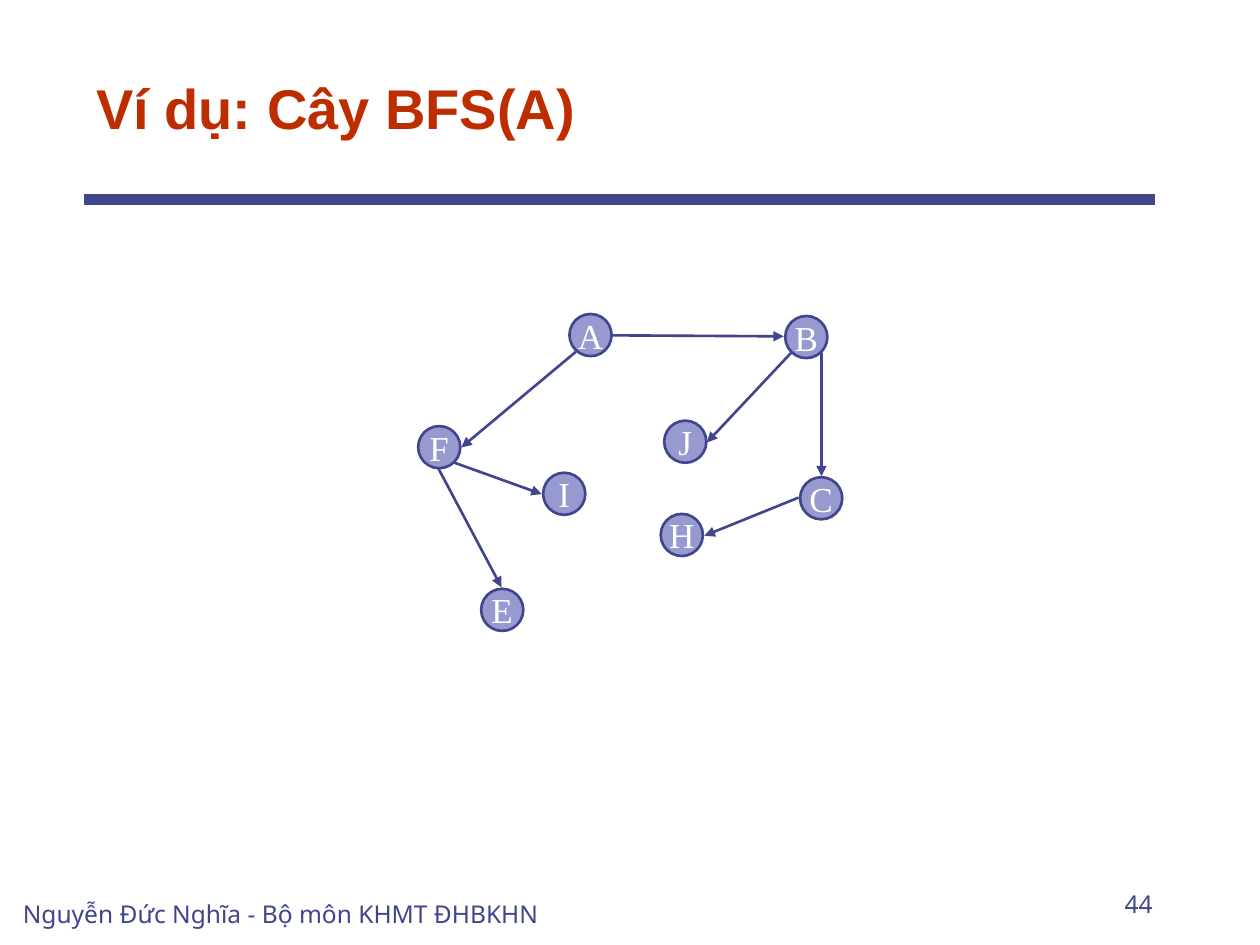
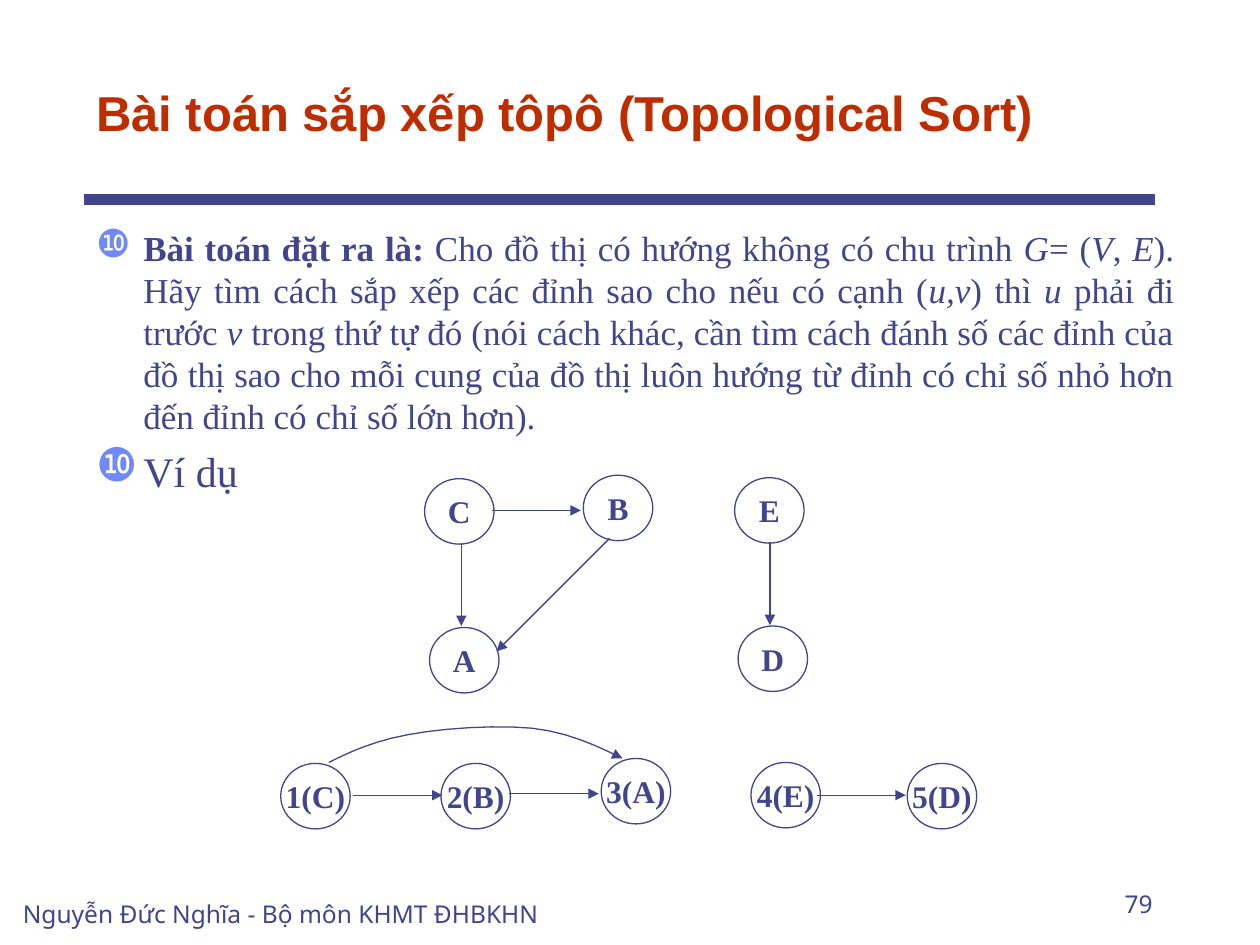
from dataclasses import dataclass

from lxml.etree import SubElement
from pptx import Presentation
from pptx.dml.color import RGBColor
from pptx.enum.shapes import MSO_CONNECTOR as Line, MSO_SHAPE as Preset
from pptx.enum.text import MSO_ANCHOR as Anchor, PP_ALIGN as Align
from pptx.oxml.ns import qn
from pptx.util import Cm, Pt

INDIGO, LAVENDER, WHITE = "40458C", "969ACF", "FFFFFF"
TITLE_RED, BULLET_BLUE = "BE2D00", "6F89F7"
SERIF = "Times New Roman"
AUTHOR = "Nguyễn Đức Nghĩa - Bộ môn KHMT ĐHBKHN"
FOOTER_FONT = {"name": "Noto Sans", "size": Pt(14)}
CURVE_STEPS = 6
Point = tuple[float, float]


@dataclass(frozen=True)
class Node:
    """A labelled vertex, placed by its left top corner in cm."""
    label: str
    left: float
    top: float


@dataclass(frozen=True)
class Edge:
    """A directed edge between two points in cm."""
    start: Point
    end: Point


@dataclass(frozen=True)
class GraphStyle:
    """The look shared by all nodes and edges of a graph."""
    width: float
    height: float
    stroke: float
    fill: str | None
    text_colour: str
    font: dict


def rgb(value: str) -> RGBColor:
    """Turn a hex string into a colour."""
    return RGBColor.from_string(value)


def apply(target, values: dict) -> None:
    """Set every attribute of the dict on the target."""
    for name, value in values.items():
        setattr(target, name, value)


def add_run(paragraph, text: str, colour: str, font: dict) -> None:
    """Append formatted text to a paragraph."""
    run = paragraph.add_run()
    run.text = text
    apply(run.font, font)
    run.font.color.rgb = rgb(colour)


def add_text_box(slide, box: tuple, anchor: Anchor):
    """Add a wrapping text box and return its text frame."""
    frame = slide.shapes.add_textbox(*map(Cm, box)).text_frame
    apply(frame, {"word_wrap": True, "vertical_anchor": anchor})
    return frame


def add_label(slide, box: tuple, text: str, colour: str, font: dict,
              align: Align = Align.LEFT) -> None:
    """Add one line of text sitting on the bottom of its box."""
    paragraph = add_text_box(slide, box, Anchor.BOTTOM).paragraphs[0]
    paragraph.alignment = align
    add_run(paragraph, text, colour, font)


def style_line(shape, width: float, arrow: bool = True) -> None:
    """Colour an outline and optionally end it with an arrowhead."""
    shape.line.color.rgb = rgb(INDIGO)
    shape.line.width = Pt(width)
    if arrow:
        SubElement(shape.line._get_or_add_ln(), qn("a:tailEnd"), type="triangle")


def add_line(slide, edge: Edge, width: float, arrow: bool = True) -> None:
    """Draw a straight line without shadow."""
    ends = map(Cm, (*edge.start, *edge.end))
    line = slide.shapes.add_connector(Line.STRAIGHT, *ends)
    style_line(line, width, arrow)
    SubElement(line._element.spPr, qn("a:effectLst"))


def add_node(slide, node: Node, style: GraphStyle) -> None:
    """Draw a vertex with its label in the middle."""
    box = (node.left, node.top, style.width, style.height)
    oval = slide.shapes.add_shape(Preset.OVAL, *map(Cm, box))
    oval.shadow.inherit = False
    if style.fill:
        oval.fill.solid()
        oval.fill.fore_color.rgb = rgb(style.fill)
    else:
        oval.fill.background()
    style_line(oval, style.stroke, arrow=False)
    frame = oval.text_frame
    apply(frame, {"word_wrap": False, "vertical_anchor": Anchor.MIDDLE,
                  "margin_left": 0, "margin_right": 0,
                  "margin_top": 0, "margin_bottom": 0})
    frame.paragraphs[0].alignment = Align.CENTER
    add_run(frame.paragraphs[0], node.label, style.text_colour, style.font)


def add_graph(slide, nodes: list[Node], edges: list[Edge], style: GraphStyle) -> None:
    """Draw all vertices and then all edges."""
    for node in nodes:
        add_node(slide, node, style)
    for edge in edges:
        add_line(slide, edge, style.stroke)


def bezier(points: tuple[Point, ...], t: float) -> tuple[int, int]:
    """Return the point at t on a cubic curve, as lengths."""
    weights = ((1 - t) ** 3, 3 * t * (1 - t) ** 2, 3 * t * t * (1 - t), t ** 3)
    x, y = (sum(w * p[axis] for w, p in zip(weights, points)) for axis in (0, 1))
    return Cm(x), Cm(y)


def add_curve(slide, points: list[Point], width: float) -> None:
    """Draw a chain of cubic curves that ends in an arrowhead."""
    steps = [bezier(tuple(points[first:first + 4]), step / CURVE_STEPS)
             for first in range(0, len(points) - 1, 3)
             for step in range(1, CURVE_STEPS + 1)]
    builder = slide.shapes.build_freeform(*map(Cm, points[0]))
    builder.add_line_segments(steps, close=False)
    arc = builder.convert_to_shape()
    arc.shadow.inherit = False
    arc.fill.background()
    style_line(arc, width)


def add_bullet(paragraph, size: float) -> None:
    """Give a justified paragraph its hanging number bullet."""
    apply(paragraph, {"alignment": Align.JUSTIFY, "space_before": Pt(size * 0.2)})
    props = paragraph._p.get_or_add_pPr()
    props.set("marL", str(Cm(0.95)))
    props.set("indent", str(-Cm(0.95)))
    SubElement(SubElement(props, qn("a:buClr")), qn("a:srgbClr"), val=BULLET_BLUE)
    SubElement(props, qn("a:buSzPct"), val="110000")
    SubElement(props, qn("a:buChar"), char="❿")


def add_page(deck, title: str, title_size: float, number: str):
    """Add a slide with rule, title, author and page number."""
    slide = deck.slides.add_slide(deck.slide_layouts[6])
    add_line(slide, Edge((1.69, 4.02), (23.28, 4.02)), 6, arrow=False)
    add_label(slide, (1.69, 0.85, 21.59, 2.12), title, TITLE_RED,
              {"name": "Arial", "size": Pt(title_size), "bold": True})
    add_label(slide, (0.21, 17.57, 11.85, 1.27), AUTHOR, INDIGO, FOOTER_FONT)
    add_label(slide, (18.2, 17.36, 5.29, 1.27), number, INDIGO, FOOTER_FONT, Align.RIGHT)
    return slide


def build_bfs_tree(deck) -> None:
    """Build the slide with the breadth-first tree of A."""
    slide = add_page(deck, "Ví dụ: Cây BFS(A)", 32, "44")
    style = GraphStyle(0.85, 0.85, 1.5, LAVENDER, WHITE, {"name": SERIF, "size": Pt(20)})
    nodes = [
        Node("I", 10.95, 9.53), Node("J", 13.39, 8.48),
        Node("H", 13.32, 10.36), Node("C", 16.13, 9.62),
        Node("F", 8.43, 8.59), Node("A", 11.48, 6.33),
        Node("B", 15.83, 6.37), Node("E", 9.7, 11.87),
    ]
    edges = [
        Edge((11.61, 7.09), (9.3, 9.02)),      # A to F
        Edge((12.34, 6.76), (15.8, 6.78)),     # A to B
        Edge((15.95, 7.11), (14.25, 8.92)),    # B to J
        Edge((8.84, 9.45), (10.11, 11.84)),    # F to E
        Edge((9.14, 9.32), (10.92, 9.96)),     # F to I
        Edge((16.1, 10.03), (14.2, 10.8)),     # C to H
        Edge((16.56, 7.11), (16.56, 9.6)),     # B to C
    ]
    add_graph(slide, nodes, edges, style)


def build_topological_sort(deck) -> None:
    """Build the slide that states topological sorting with an example."""
    slide = add_page(deck, "Bài toán sắp xếp tôpô (Topological Sort)", 28, "79")
    bold, italic = {"bold": True}, {"italic": True}
    problem = [
        ("Bài toán đặt ra là:", bold),
        (" Cho đồ thị có hướng không có chu trình ", {}),
        ("G", italic), ("= (", {}), ("V", italic), (", ", {}), ("E", italic),
        ("). Hãy tìm cách sắp xếp các đỉnh sao cho nếu có cạnh (", {}),
        ("u,v", italic), (") thì ", {}), ("u", italic),
        (" phải đi trước ", {}), ("v ", italic),
        ("trong thứ tự đó (nói cách khác, cần tìm cách đánh số các đỉnh của "
         "đồ thị sao cho mỗi cung của đồ thị luôn hướng từ đỉnh có chỉ số nhỏ "
         "hơn đến đỉnh có chỉ số lớn hơn).", {}),
    ]
    body = add_text_box(slide, (1.69, 4.45, 22.23, 12.28), Anchor.TOP)
    statement, example = body.paragraphs[0], body.add_paragraph()
    for paragraph, size, runs in ((statement, 20, problem),
                                  (example, 24, [("Ví dụ", {})])):
        add_bullet(paragraph, size)
        for text, emphasis in runs:
            add_run(paragraph, text, INDIGO, {"name": SERIF, "size": Pt(size)} | emphasis)

    style = GraphStyle(1.4, 1.32, 0.75, None, INDIGO,
                       {"name": SERIF, "size": Pt(18), "bold": True})
    nodes = [
        Node("B", 11.76, 9.58), Node("D", 14.88, 12.62),
        Node("E", 14.81, 9.63), Node("A", 8.66, 12.65), Node("C", 8.56, 9.65),
        Node("3(A)", 12.12, 15.29), Node("5(D)", 18.29, 15.39),
        Node("4(E)", 15.14, 15.37), Node("1(C)", 5.66, 15.39),
        Node("2(B)", 8.89, 15.39),
    ]
    edges = [
        Edge((15.52, 10.92), (15.52, 12.6)),    # E to D
        Edge((9.3, 10.95), (9.3, 12.62)),       # C to A
        Edge((9.91, 10.29), (11.71, 10.29)),    # C to B
        Edge((12.29, 10.85), (10.01, 13.13)),   # B to A
        Edge((10.26, 16.0), (12.07, 16.0)),     # 2 to 3
        Edge((7.11, 16.03), (8.92, 16.03)),     # 1 to 2
        Edge((16.46, 16.03), (18.26, 16.03)),   # 4 to 5
    ]
    add_graph(slide, nodes, edges, style)
    first_to_third = [
        (6.63, 15.37),
        (7.09, 15.14), (7.54, 14.94), (8.23, 14.81),
        (8.92, 14.68), (9.98, 14.61), (10.72, 14.68),
        (11.43, 14.76), (11.99, 15.01), (12.55, 15.29),
    ]
    add_curve(slide, first_to_third, style.stroke)


deck = Presentation()
apply(deck, {"slide_width": Cm(25.4), "slide_height": Cm(19.05)})
build_bfs_tree(deck)
build_topological_sort(deck)
deck.save("out.pptx")
